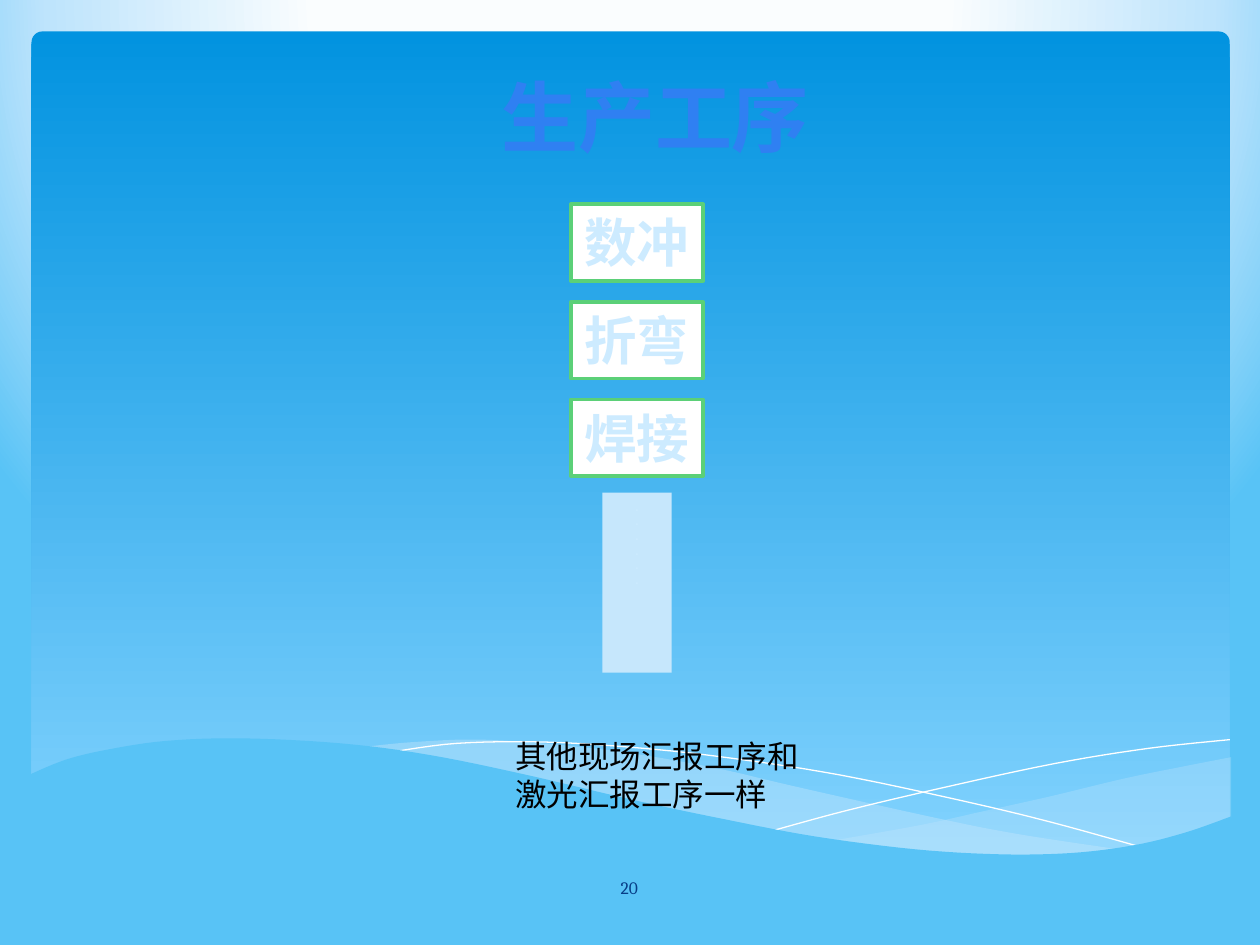
from pptx import Presentation
from pptx.dml.color import RGBColor
from pptx.enum.shapes import MSO_SHAPE
from pptx.enum.text import MSO_ANCHOR, MSO_AUTO_SIZE, PP_ALIGN
from pptx.oxml import parse_xml
from pptx.oxml.ns import nsdecls, qn
from pptx.util import Inches, Pt

FONT = "Cambria"
WHITE = RGBColor(0xFF, 0xFF, 0xFF)
BLACK = RGBColor(0x00, 0x00, 0x00)
TITLE_BLUE = RGBColor(0x2F, 0x80, 0xF2)
NUMBER_BLUE = RGBColor(0x07, 0x3E, 0x87)
PALE_TEXT = RGBColor(0xCD, 0xEB, 0xFF)
PALE_BLUE = RGBColor(0xC6, 0xE7, 0xFC)
GREEN = RGBColor(0x5B, 0xD0, 0x78)
PANE_TOP = RGBColor(0x02, 0x93, 0xE0)
PANE_BOTTOM = RGBColor(0x83, 0xD3, 0xFE)
SKY = RGBColor(0x58, 0xC3, 0xF6)
SKY_STOPS = ((40, RGBColor(0xFA, 0xFD, 0xFE)), (74, RGBColor(0xBE, 0xE4, 0xFC)), (100, SKY))

COLUMNS, ROWS = 100, 75
CURVE_STEPS = 6

RIGHT_RIBBON = [
    [(97.7, 60.1), (93.6, 60.9), (89.2, 61.8), (83.4, 63.2), (78, 64.4), (73, 65.5), (66.2, 66.7)],
    [(66.2, 66.7), (71.9, 67.4), (77, 67.9), (82.5, 67.9), (87.3, 67.6), (92.2, 66.7), (97.7, 64.9)],
]
LONG_RIBBON = [
    [(89.4, 67.5), (80.8, 66.2), (74.2, 64.9), (63, 62.4), (57, 61), (50.2, 59.8), (44.2, 59.1),
     (38, 58.7), (32.8, 58.9), (28.7, 59.3)],
    [(28.7, 59.3), (36.3, 60.4), (45, 62.4), (53, 64.2), (61.9, 66), (69.6, 67.2), (76.2, 67.9),
     (82.9, 68), (89.4, 67.5)],
]
FALLING_LINE = [
    [(31, 59.7), (36.3, 59), (43.3, 58.9), (51.1, 59.4), (58.2, 60.2), (66.6, 61.5), (76.1, 63.5),
     (83.2, 65.2), (90.8, 67.3)],
]
RISING_LINE = [[(61.4, 65.9), (67.3, 64.3), (74.9, 62.5), (83.7, 60.6), (91.1, 59.4), (97.6, 58.7)]]
BOTTOM_WAVE = [
    [(97.7, 64.8), (94, 66.1), (89.9, 67.1), (85, 67.7), (79.3, 67.8), (72.6, 67.4), (64.8, 66.4),
     (57.9, 65.1), (50.3, 63.5), (41.8, 61.5), (34, 59.9), (27.1, 59), (19.3, 58.6), (13.2, 58.8),
     (8.5, 59.5), (5.2, 60.3), (2.3, 61.5)],
    [(2.3, 61.5), (2.3, 73.1)],
    [(2.3, 73.1), (97.7, 73.1)],
]


def smooth(knots):
    padded = [knots[0], *knots, knots[-1]]
    points = [knots[0]]
    for before, start, end, after in zip(padded, padded[1:], padded[2:], padded[3:]):
        for step in range(1, CURVE_STEPS + 1):
            t = step / CURVE_STEPS
            points.append(tuple(
                b + t / 2 * (c - a + t * (2 * a - 5 * b + 4 * c - d + t * (3 * b - a - 3 * c + d)))
                for a, b, c, d in zip(before, start, end, after)
            ))
    return points


def write_text(frame, text, size, color, bold=False, align=PP_ALIGN.LEFT, anchor=MSO_ANCHOR.TOP,
               wrap=True):
    frame.auto_size = MSO_AUTO_SIZE.NONE
    frame.word_wrap = wrap
    frame.vertical_anchor = anchor
    frame.text = text
    for paragraph in frame.paragraphs:
        paragraph.alignment = align
        for run in paragraph.runs:
            font = run.font
            font.name, font.size, font.bold = FONT, Pt(size), bold
            font.color.rgb = color


class SlideBuilder:
    def __init__(self, presentation):
        self.slide = presentation.slides.add_slide(presentation.slide_layouts[5])
        self.column = presentation.slide_width / COLUMNS
        self.row = presentation.slide_height / ROWS

    def area(self, left, top, width, height):
        return (round(left * self.column), round(top * self.row),
                round(width * self.column), round(height * self.row))

    def background(self, stops):
        self.slide.background.fill.gradient()
        gradient = self.slide.element.find(".//" + qn("a:gradFill"))
        stop_list = "".join(
            f'<a:gs pos="{position * 1000}"><a:srgbClr val="{color}"/></a:gs>'
            for position, color in stops
        )
        radial = parse_xml(
            f'<a:gradFill {nsdecls("a")} rotWithShape="1"><a:gsLst>{stop_list}</a:gsLst>'
            '<a:path path="circle"><a:fillToRect l="20000" t="-40000" r="20000" b="140000"/></a:path>'
            '</a:gradFill>'
        )
        gradient.getparent().replace(gradient, radial)

    def pane(self, area, top_color, bottom_color):
        shape = self.slide.shapes.add_shape(MSO_SHAPE.ROUNDED_RECTANGLE, *self.area(*area))
        shape.adjustments[0] = 0.013
        shape.shadow.inherit = False
        shape.line.fill.background()
        shape.fill.gradient()
        shape.fill.gradient_angle = 270
        for stop, color in zip(shape.fill.gradient_stops, (top_color, bottom_color)):
            stop.color.rgb = color

    def curve(self, edges, fill=None, opacity=100, line=None):
        points = [point for edge in edges for point in smooth(edge)]
        vertices = [(round(x * self.column), round(y * self.row)) for x, y in points]
        builder = self.slide.shapes.build_freeform(*vertices[0])
        builder.add_line_segments(vertices[1:], close=fill is not None)
        shape = builder.convert_to_shape()
        shape.shadow.inherit = False
        self.paint(shape, fill, line, 0)
        if opacity < 100:
            color = shape.element.spPr.find(qn("a:solidFill"))[0]
            color.append(parse_xml(f'<a:alpha {nsdecls("a")} val="{opacity * 1000}"/>'))

    def paint(self, shape, fill, line, line_width):
        if fill is None:
            shape.fill.background()
        else:
            shape.fill.solid()
            shape.fill.fore_color.rgb = fill
        if line is None:
            shape.line.fill.background()
        else:
            shape.line.color.rgb = line
            shape.line.width = Pt(line_width)

    def box(self, area, text, fill, line=None, **text_format):
        shape = self.slide.shapes.add_shape(MSO_SHAPE.RECTANGLE, *self.area(*area))
        shape.shadow.inherit = False
        self.paint(shape, fill, line, 2)
        write_text(shape.text_frame, text, color=PALE_TEXT, bold=True, align=PP_ALIGN.CENTER,
                   **text_format)

    def label(self, area, text, **text_format):
        shape = self.slide.shapes.add_textbox(*self.area(*area))
        write_text(shape.text_frame, text, **text_format)

    def title(self, area, text, **text_format):
        title = self.slide.shapes.title
        title.left, title.top, title.width, title.height = self.area(*area)
        write_text(title.text_frame, text, **text_format)
        title.element.getparent().append(title.element)


def main():
    presentation = Presentation()
    presentation.slide_width, presentation.slide_height = Inches(10), Inches(7.5)
    builder = SlideBuilder(presentation)
    builder.background(SKY_STOPS)
    builder.pane((2.5, 2.5, 95.1, 66), PANE_TOP, PANE_BOTTOM)
    builder.curve(RIGHT_RIBBON, fill=PALE_BLUE, opacity=29)
    builder.curve(LONG_RIBBON, fill=PALE_BLUE, opacity=40)
    builder.curve(FALLING_LINE, line=WHITE)
    builder.curve(RISING_LINE, line=WHITE)
    builder.curve(BOTTOM_WAVE, fill=SKY)
    builder.title((37, 5, 30, 8.4), "生产工序", size=44, color=TITLE_BLUE, bold=True,
                  align=PP_ALIGN.CENTER, anchor=MSO_ANCHOR.MIDDLE, wrap=False)
    builder.label((43.6, 68.4, 12.7, 4), "20", size=10, color=NUMBER_BLUE,
                  align=PP_ALIGN.CENTER, anchor=MSO_ANCHOR.MIDDLE)
    for index, step in enumerate(("数冲", "折弯", "焊接")):
        builder.box((45.3, 16.2 + 7.75 * index, 10.5, 6.1), step, WHITE, line=GREEN,
                    size=30, wrap=False)
    builder.box((47.8, 39.1, 5.5, 14.3), "\n".join("." * 6), PALE_BLUE, size=7)
    builder.label((39.9, 58, 26.6, 7.1), "其他现场汇报工序和激光汇报工序一样", size=18, color=BLACK)
    presentation.save("out.pptx")


if __name__ == "__main__":
    main()
